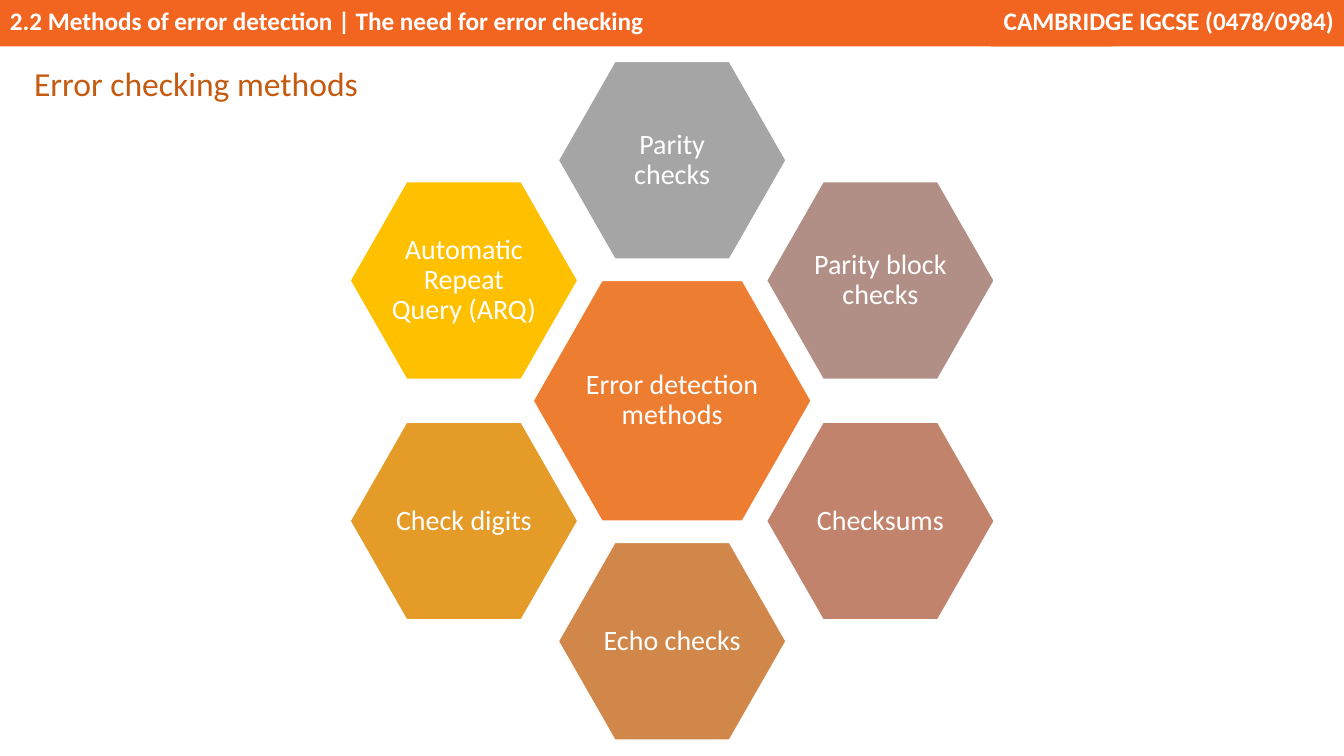
import math

from pptx import Presentation
from pptx import util as u
from pptx.dml.color import RGBColor
from pptx.enum import shapes, text
from pptx.oxml.ns import qn
from lxml import etree

COLOURS = {
    "header": "F26521", "white": "FFFFFF", "title": "C55A11", "centre": "ED7D31",
    "grey": "A5A5A5", "mauve": "B18F86", "clay": "C1836B",
    "copper": "D18749", "ochre": "E59B27", "gold": "FFC000",
}
METHODS = [
    ("Parity checks", "grey"),
    ("Parity block checks", "mauve"),
    ("Checksums", "clay"),
    ("Echo checks", "copper"),
    ("Check digits", "ochre"),
    ("Automatic Repeat Query (ARQ)", "gold"),
]
CENTRE_X, CENTRE_Y, RADIUS = 16.94, 10.1, 6.06


def colour(name):
    return RGBColor.from_string(COLOURS[name])


def write(box, words, size=18, ink="white", bold=False, align="LEFT", anchor="TOP",
          spacing=1.0, inset=None):
    frame = box.text_frame
    frame.word_wrap = True
    frame.vertical_anchor = getattr(text.MSO_ANCHOR, anchor)
    if inset is not None:
        frame.margin_left = frame.margin_right = u.Cm(inset)
        frame.margin_top = frame.margin_bottom = u.Cm(inset)
    para = frame.paragraphs[0]
    para.alignment = getattr(text.PP_ALIGN, align)
    para.line_spacing = spacing
    span = para.add_run()
    span.text = words
    span.font.name = "Calibri"
    span.font.size = u.Pt(size)
    span.font.bold = bold
    span.font.color.rgb = colour(ink)


class MethodsSlide:
    def __init__(self, deck):
        self.page = deck.slides.add_slide(deck.slide_layouts[6])

    def shape(self, kind, left, top, width, height, fill):
        box = self.page.shapes.add_shape(kind, *map(u.Cm, (left, top, width, height)))
        box.shadow.inherit = False
        box.fill.solid()
        box.fill.fore_color.rgb = colour(fill)
        box.line.fill.background()
        return box

    def panel(self, words, left, top, width, height, fill="header", opacity=100, **style):
        box = self.shape(shapes.MSO_SHAPE.RECTANGLE, left, top, width, height, fill)
        if opacity < 100:
            tint = box.fill._xPr.find(qn("a:solidFill"))[0]
            etree.SubElement(tint, qn("a:alpha")).set("val", str(opacity * 1000))
        write(box, words, **style)

    def hexagon(self, words, x, y, width, height, fill):
        box = self.shape(shapes.MSO_SHAPE.HEXAGON, x - width / 2, y - height / 2,
                         width, height, fill)
        box.adjustments[0] = 0.286
        box.line.color.rgb = colour("white")
        box.line.width = u.Pt(1)
        write(box, words, size=20, align="CENTER", anchor="MIDDLE", spacing=0.9, inset=0.07)


def main():
    deck = Presentation()
    deck.slide_width, deck.slide_height = u.Cm(33.87), u.Cm(19.05)
    slide = MethodsSlide(deck)
    slide.panel("2.2 Methods of error detection | The need for error checking",
                0, 0, 28.04, 1.17, bold=True)
    slide.panel("CAMBRIDGE IGCSE (0478/0984)", 24.97, 0, 8.9, 1.17, bold=True, align="RIGHT")
    slide.panel("Error checking methods", 0.61, 1.4, 10.19, 1.3, fill="white", opacity=90,
                size=24, ink="title", spacing=1.07)
    slide.hexagon("Error detection methods", CENTRE_X, CENTRE_Y, 7.01, 6.07, "centre")
    for index, (name, fill) in enumerate(METHODS):
        angle = math.radians(60 * index)
        slide.hexagon(name, CENTRE_X + RADIUS * math.sin(angle),
                      CENTRE_Y - RADIUS * math.cos(angle), 5.74, 4.98, fill)
    deck.save("out.pptx")


if __name__ == "__main__":
    main()
